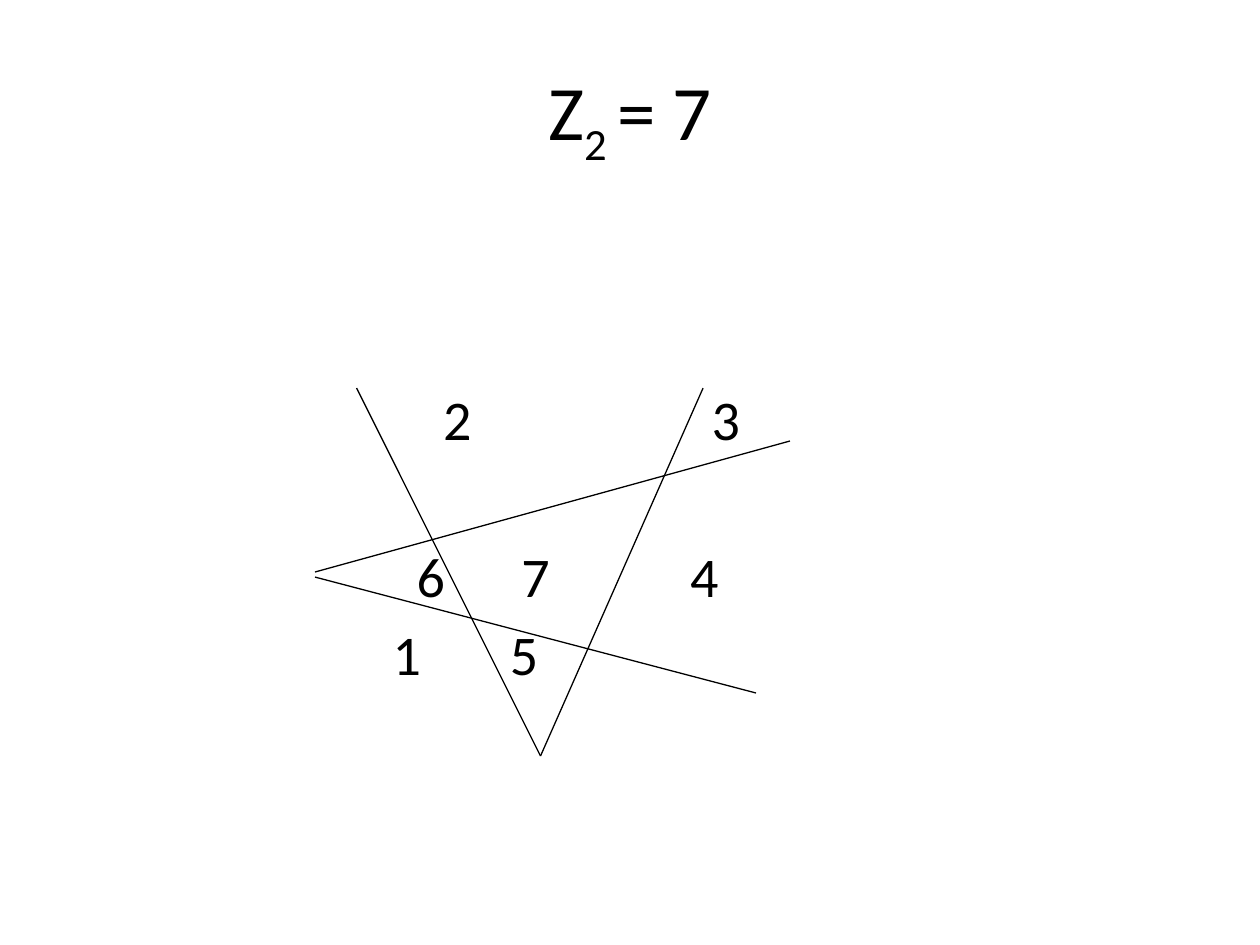
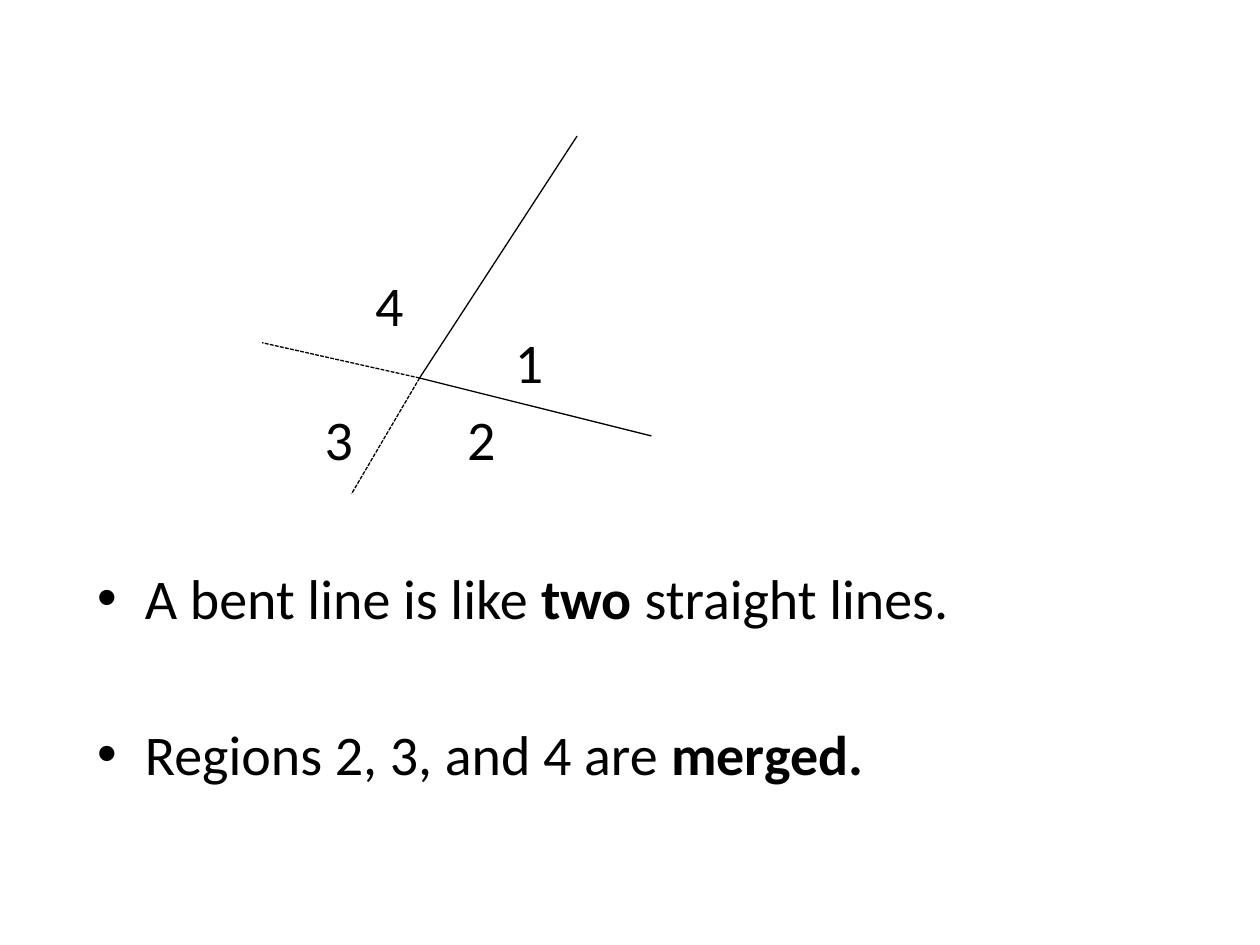
from dataclasses import dataclass

from pptx import Presentation
from pptx import util as u
from pptx.dml import color
from pptx.enum import dml, shapes, text
from pptx.oxml import ns
from lxml import etree


@dataclass(frozen=True)
class Theme:
    font: str = "Calibri"
    ink: color.RGBColor = color.RGBColor(0, 0, 0)
    title_size: int = 44
    body_size: int = 32
    line_width: float = 0.75
    row_pitch: float = 45       # points from one body row to the next
    row_gap: float = 6          # points, space before a row
    label_width: float = 0.43   # inches
    label_height: float = 0.64


THEME = Theme()


def apply_format(target, values):
    for name, value in values.items():
        setattr(target, name, value)


def place(box, left, top, width, height):
    values = dict(left=left, top=top, width=width, height=height)
    apply_format(box, {name: u.Inches(value) for name, value in values.items()})


def add_span(para, words, size, bold=None, baseline=None):
    span = para.add_run()
    span.text = words
    apply_format(span.font, dict(name=THEME.font, size=u.Pt(size), bold=bold))
    span.font.color.rgb = THEME.ink
    if baseline:
        span._r.get_or_add_rPr().set("baseline", str(baseline * 1000))


def write_title(page, spans):
    """Fill the title with (words, baseline percent) spans."""
    box = page.shapes.title
    place(box, 0.5, 0.3, 9, 1.25)
    box.text_frame.vertical_anchor = text.MSO_ANCHOR.MIDDLE
    para = box.text_frame.paragraphs[0]
    para.alignment = text.PP_ALIGN.CENTER
    for words, baseline in spans:
        add_span(para, words, THEME.title_size, baseline=baseline)


def write_bullets(page, bounds, rows_above, bullets):
    """Write bullets of (words, bold) spans, one free row before each."""
    box = page.placeholders[1]
    place(box, *bounds)
    frame = box.text_frame
    apply_format(frame, dict(
        word_wrap=True, auto_size=text.MSO_AUTO_SIZE.NONE,
        vertical_anchor=text.MSO_ANCHOR.TOP,
        margin_top=u.Inches(0.05) + u.Pt(rows_above * THEME.row_pitch)))
    for index, spans in enumerate(bullets):
        para = frame.add_paragraph() if index else frame.paragraphs[0]
        para.space_before = u.Pt(THEME.row_gap + THEME.row_pitch if index else 0)
        props = para._p.get_or_add_pPr()
        props.set("marL", str(u.Inches(0.38)))
        props.set("indent", str(u.Inches(-0.38)))
        etree.SubElement(props, ns.qn("a:buChar"), char="\u2022")
        for words, bold in spans:
            add_span(para, words, THEME.body_size, bold=bold)


def add_line(page, start, end, dash=None):
    ends = [u.Inches(value) for value in (*start, *end)]
    line = page.shapes.add_connector(shapes.MSO_CONNECTOR.STRAIGHT, *ends)
    line.line.color.rgb = THEME.ink
    apply_format(line.line, dict(width=u.Pt(THEME.line_width), dash_style=dash))
    etree.SubElement(line._element.spPr, ns.qn("a:effectLst"))


def add_label_row(page, top, labels):
    """Number regions along one row, each centred on its x."""
    for label, centre in labels.items():
        bounds = (centre - THEME.label_width / 2, top,
                  THEME.label_width, THEME.label_height)
        box = page.shapes.add_textbox(*[u.Inches(value) for value in bounds])
        apply_format(box.text_frame, dict(
            word_wrap=False, auto_size=text.MSO_AUTO_SIZE.SHAPE_TO_FIT_TEXT))
        para = box.text_frame.paragraphs[0]
        para.alignment = text.PP_ALIGN.CENTER
        add_span(para, label, THEME.body_size)


def add_page(deck, layout_name):
    layout = deck.slide_layouts.get_by_name(layout_name)
    return deck.slides.add_slide(layout)


def build_two_bent_lines(deck):
    page = add_page(deck, "Title Only")
    write_title(page, [("Z", None), ("2 ", -25), ("= 7", None)])
    # First bent line opens upwards, the second to the right
    tip = (4.29, 6)
    add_line(page, (2.83, 3.08), tip)
    add_line(page, tip, (5.58, 3.08))
    add_line(page, (6.27, 3.5), (2.5, 4.54))
    add_line(page, (2.5, 4.58), (6, 5.5))
    # Region numbers
    add_label_row(page, 3, {"2": 3.63, "3": 5.76})
    add_label_row(page, 4.25, {"6": 3.42, "7": 4.25, "4": 5.59})
    add_label_row(page, 4.87, {"1": 3.23, "5": 4.16})


def build_merged_regions(deck):
    page = add_page(deck, "Title and Content")
    title = page.shapes.title._element
    title.getparent().remove(title)
    write_bullets(page, (0.67, 0.67, 8.83, 6.08), 6, [
        [("A bent line is like ", None), ("two", True), (" straight lines.", None)],
        [("Regions 2, 3, and 4 are ", None), ("merged.", True)],
    ])
    # Solid arms of the bend, dashed where the straight lines would go on
    bend = (3.33, 3)
    add_line(page, (4.58, 1.08), bend)
    add_line(page, bend, (5.17, 3.46))
    for end in ((2.79, 3.92), (2.08, 2.72)):
        add_line(page, bend, end, dml.MSO_LINE.SQUARE_DOT)
    # Region numbers
    add_label_row(page, 2.1, {"4": 3.09})
    add_label_row(page, 2.55, {"1": 4.2})
    add_label_row(page, 3.16, {"3": 2.69, "2": 3.82})


def main():
    deck = Presentation()
    apply_format(deck, dict(slide_width=u.Inches(10), slide_height=u.Inches(7.5)))
    build_two_bent_lines(deck)
    build_merged_regions(deck)
    deck.save("out.pptx")


main()
